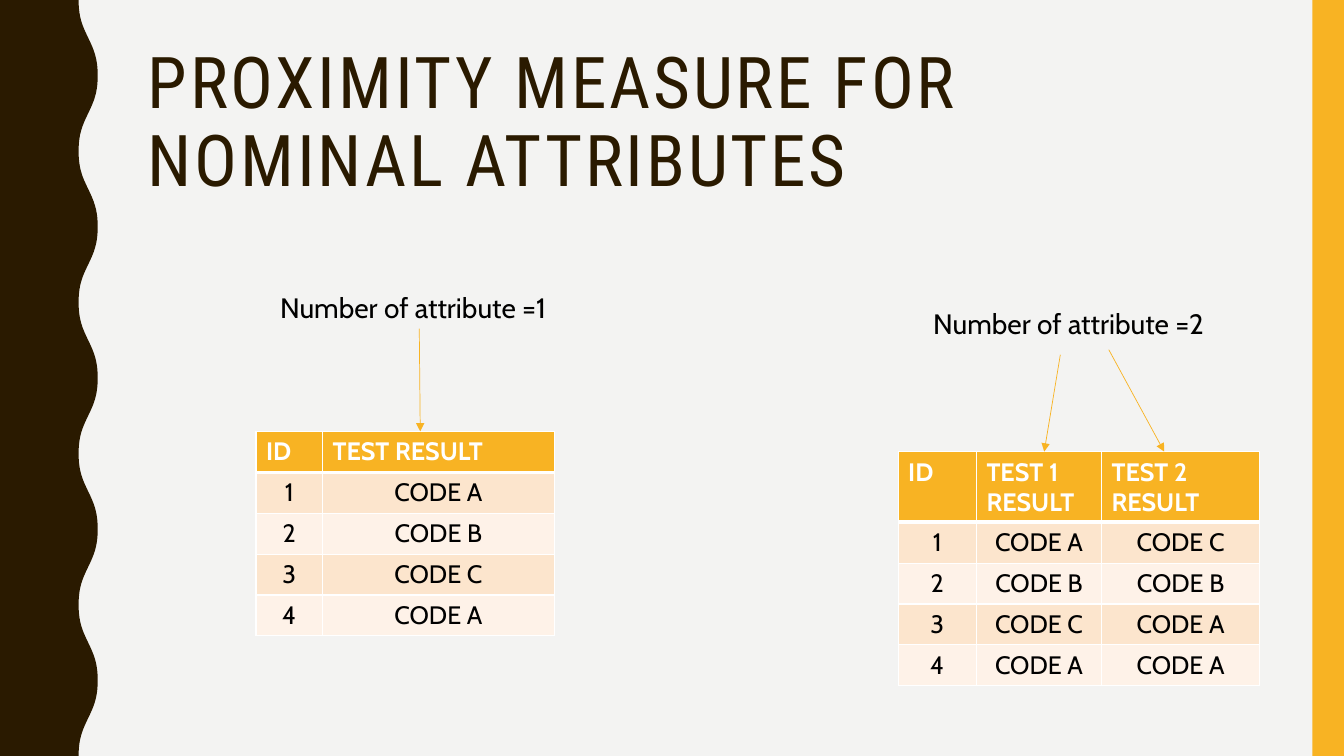
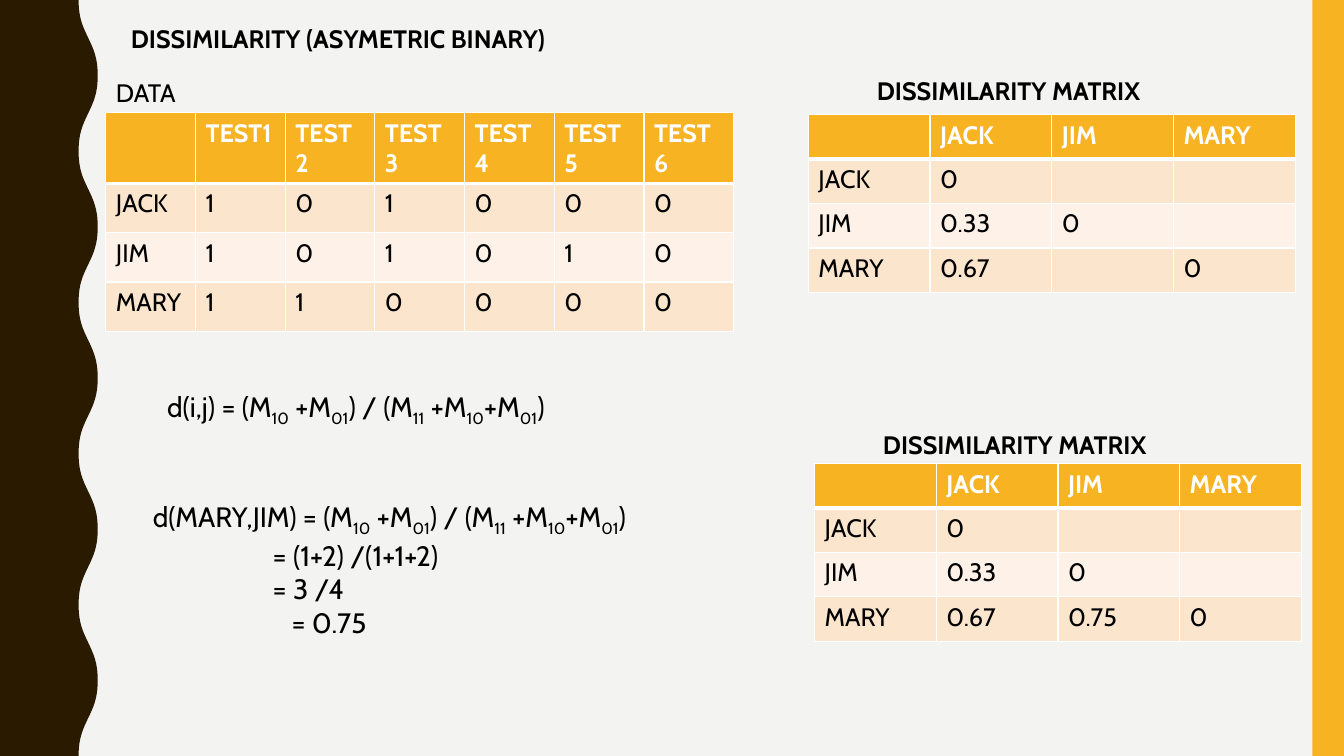
"""Build two slides on proximity and dissimilarity measures."""
import dataclasses
import math

import lxml.etree
import pptx
import pptx.dml.color
import pptx.enum.shapes
import pptx.enum.text
import pptx.oxml.ns
import pptx.util

Pt = pptx.util.Pt
Align = pptx.enum.text.PP_ALIGN


@dataclasses.dataclass(frozen=True)
class Theme:
    page: str = "F3F3F2"
    dark: str = "2A1A00"
    gold: str = "F8B323"
    peach: str = "FCE5CD"
    cream: str = "FEF2E8"
    white: str = "FFFFFF"
    black: str = "000000"
    body: str = "Cabin"
    head: str = "Roboto Condensed"
    title: float = 51
    note: float = 20
    small: float = 18
    thin: float = 1
    thick: float = 3
    hair: float = 0.5


def paint(fill, tint):
    fill.solid()
    fill.fore_color.rgb = pptx.dml.color.RGBColor.from_string(tint)


def nest(owner, tag, **attrs):
    return lxml.etree.SubElement(owner, pptx.oxml.ns.qn(tag), attrs)


def assign(item, values):
    for name, value in values.items():
        setattr(item, name, value)


class Deck:
    def __init__(self, theme):
        self.theme = theme
        self.show = pptx.Presentation()
        assign(self.show, {"slide_width": Pt(960), "slide_height": Pt(540)})
        self.blank = self.show.slide_layouts[6]
        self.start()
        self.frame()

    def start(self):
        self.slide = self.show.slides.add_slide(self.blank)

    def frame(self):
        paint(self.blank.background.fill, self.theme.page)
        tree = self.blank.element.cSld.spTree
        for spot in list(self.blank.placeholders):
            tree.remove(spot.element)
        edge = [(0, 0)]
        for y in range(0, 541, 3):
            turn = 2 * math.pi * y / 108
            x = 63 - 7.2 * math.cos(turn) + 0.36 * math.cos(3 * turn)
            edge.append((x, y))
        edge.append((0, 540))
        points = [(Pt(x), Pt(y)) for x, y in edge]
        pen = self.slide.shapes.build_freeform(*points[0])
        pen.add_line_segments(points[1:], close=True)
        wave = pen.convert_to_shape()
        band = self.slide.shapes.add_shape(
            pptx.enum.shapes.MSO_SHAPE.RECTANGLE,
            Pt(937.5), Pt(0), Pt(22.5), Pt(540))
        for shape, tint in ((wave, self.theme.dark), (band, self.theme.gold)):
            paint(shape.fill, tint)
            shape.line.fill.background()
            shape.shadow.inherit = False
            tree.append(shape.element)

    def letter(self, para, text, tint=None, **form):
        values = {"name": self.theme.body, "size": self.theme.small,
                  "bold": False, **form}
        values["size"] = Pt(values["size"])
        for place, part in enumerate(text.split("~")):
            run = para.add_run()
            run.text = part
            assign(run.font, values)
            paint(run.font.fill, tint or self.theme.black)
            if place % 2:
                run.font._element.set("baseline", "-25000")

    def text(self, left, top, width, height, lines, **form):
        box = self.slide.shapes.add_textbox(
            Pt(left), Pt(top), Pt(width), Pt(height))
        box.text_frame.word_wrap = True
        for place, (indent, line) in enumerate(lines):
            para = (box.text_frame.add_paragraph() if place
                    else box.text_frame.paragraphs[0])
            if indent:
                para._p.get_or_add_pPr().set("marL", str(Pt(indent)))
            self.letter(para, line, **form)
        return box.text_frame

    def title(self, text):
        frame = self.text(98.6, 30.2, 801.4, 117.4, [(0, text)],
                          tint=self.theme.dark, name=self.theme.head,
                          size=self.theme.title)
        frame.vertical_anchor = pptx.enum.text.MSO_ANCHOR.MIDDLE
        para = frame.paragraphs[0]
        para.line_spacing = 0.9
        para.runs[0].font._element.set("spc", "200")

    def label(self, left, top, width, text, **form):
        self.text(left, top, width, 29, [(0, text)], **form)

    def border(self, cell, row):
        owner = cell._tc.get_or_add_tcPr()
        heavy = {"a:lnT": row == 1, "a:lnB": row == 0}
        for side in ("a:lnL", "a:lnR", "a:lnT", "a:lnB"):
            size = self.theme.thick if heavy.get(side) else self.theme.thin
            line = nest(owner, side, w=str(Pt(size)))
            nest(nest(line, "a:solidFill"), "a:srgbClr", val=self.theme.white)

    def table(self, left, top, widths, heights, rows, align=Align.LEFT):
        grid = self.slide.shapes.add_table(
            len(rows), len(widths), Pt(left), Pt(top),
            Pt(sum(widths)), Pt(sum(heights))).table
        for column, width in zip(grid.columns, widths):
            column.width = Pt(width)
        for y, (row, height) in enumerate(zip(rows, heights)):
            grid.rows[y].height = Pt(height)
            tint = (self.theme.cream, self.theme.peach)[y % 2]
            for x, text in enumerate(row):
                cell = grid.cell(y, x)
                self.border(cell, y)
                paint(cell.fill, tint if y else self.theme.gold)
                para = cell.text_frame.paragraphs[0]
                para.alignment = align if y else Align.LEFT
                if text:
                    self.letter(para, text, bold=not y,
                                tint=None if y else self.theme.white)

    def arrow(self, *ends):
        link = self.slide.shapes.add_connector(
            pptx.enum.shapes.MSO_CONNECTOR.STRAIGHT, *map(Pt, ends))
        paint(link.line.fill, self.theme.gold)
        link.line.width = Pt(self.theme.hair)
        nest(link.line._get_or_add_ln(), "a:tailEnd", type="triangle")
        nest(link.element.spPr, "a:effectLst")

    def matrix(self, left, top, gap, score):
        self.label(left + 41.8, top - gap, 265, "DISSIMILARITY MATRIX",
                   bold=True)
        self.table(left, top, [86.95] * 4, [31.7] * 4, [
            ["", "JACK", "JIM", "MARY"],
            ["JACK", "0", "", ""],
            ["JIM", "0.33", "0", ""],
            ["MARY", "0.67", score, "0"]])


def nominal(deck):
    deck.title("PROXIMITY MEASURE FOR NOMINAL ATTRIBUTES")
    note = deck.theme.note
    deck.label(193, 203.8, 213, "Number of attribute =1", size=note)
    deck.label(659.5, 215.3, 213, "Number of attribute =2", size=note)
    first, second = "ABCA", "CBAA"
    deck.table(182.9, 308.2, [47.5, 165.6], [29.2] * 5,
               [["ID", "TEST RESULT"]]
               + [[str(n), f"CODE {a}"] for n, a in enumerate(first, 1)],
               Align.CENTER)
    deck.table(641.5, 322.6, [56, 89.3, 113], [50.4] + [29.2] * 4,
               [["ID", "TEST 1 RESULT", "TEST 2 RESULT"]]
               + [[str(n), f"CODE {a}", f"CODE {b}"]
                  for n, (a, b) in enumerate(zip(first, second), 1)],
               Align.CENTER)
    for ends in ((299.5, 234.7, 300.2, 308.2),
                 (757.4, 253.4, 745.9, 322.6),
                 (792, 249.8, 831.6, 322.6)):
        deck.arrow(*ends)


def binary(deck):
    deck.label(86.4, 13, 386.6, "DISSIMILARITY (ASYMETRIC BINARY)", bold=True)
    deck.label(75.6, 51.8, 72.7, "DATA")
    tests = {"JACK": "101000", "JIM": "101010", "MARY": "110000"}
    deck.table(75.6, 80.6, [64.08] * 7, [50.4] + [35.2] * 3,
               [[""] + [f"TEST{n}" for n in range(1, 7)]]
               + [[name, *marks] for name, marks in tests.items()])
    ratio = " = (M~10~ +M~01~) / (M~11~ +M~10~+M~01~)"
    note = deck.theme.note
    deck.label(112.3, 275, 328.3, "d(i,j)" + ratio, size=note)
    deck.text(102.2, 353.5, 396, 104.4, [
        (0, "d(MARY,JIM)" + ratio),
        (85.5, "= (1+2) /(1+1+2)"),
        (85.5, "= 3 /4"),
        (99, "= 0.75")], size=note)
    deck.matrix(577.4, 82, 31.6, "")
    deck.matrix(581.8, 331.2, 28.1, "0.75")


def main():
    deck = Deck(Theme())
    nominal(deck)
    deck.start()
    binary(deck)
    deck.show.save("out.pptx")


if __name__ == "__main__":
    main()
